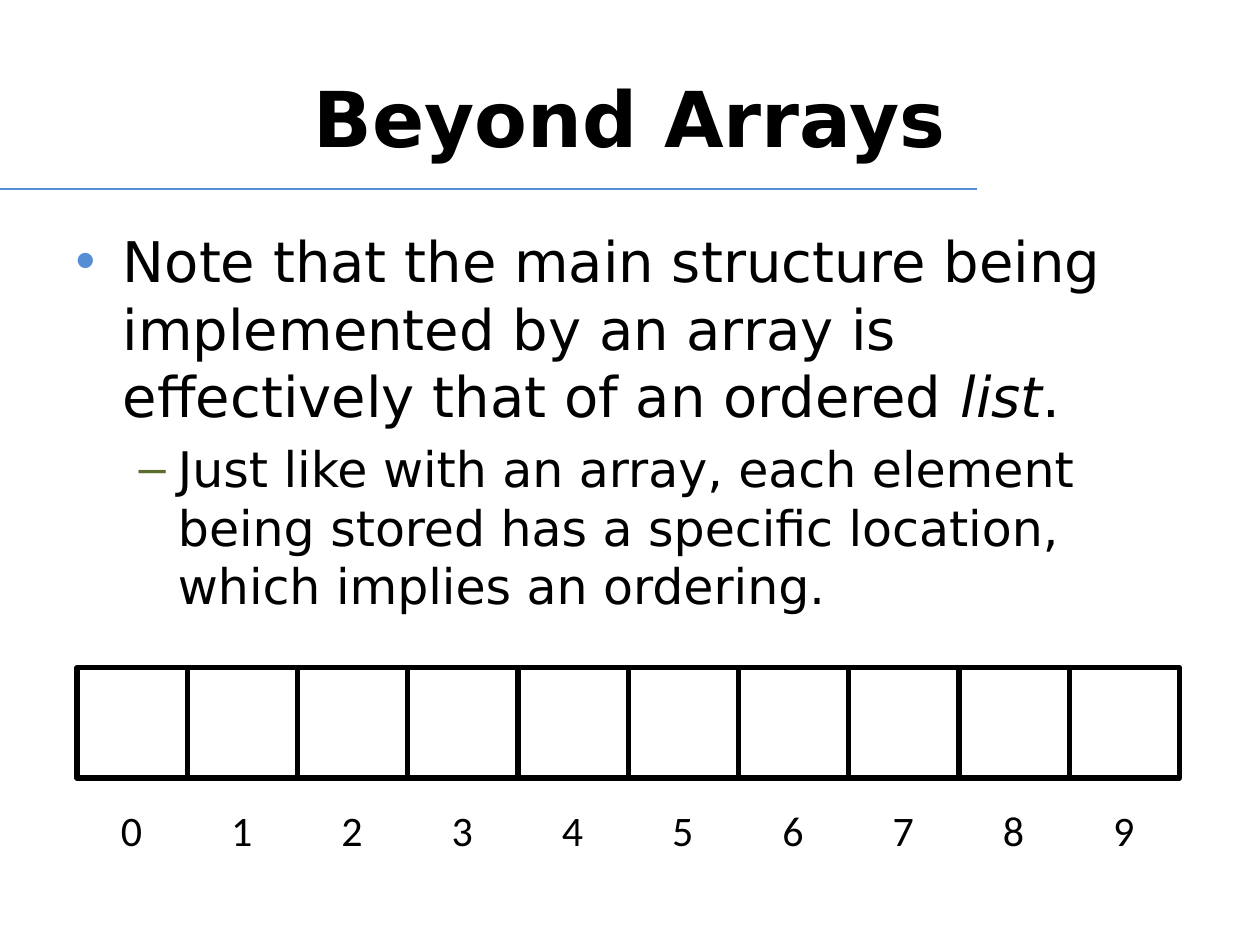
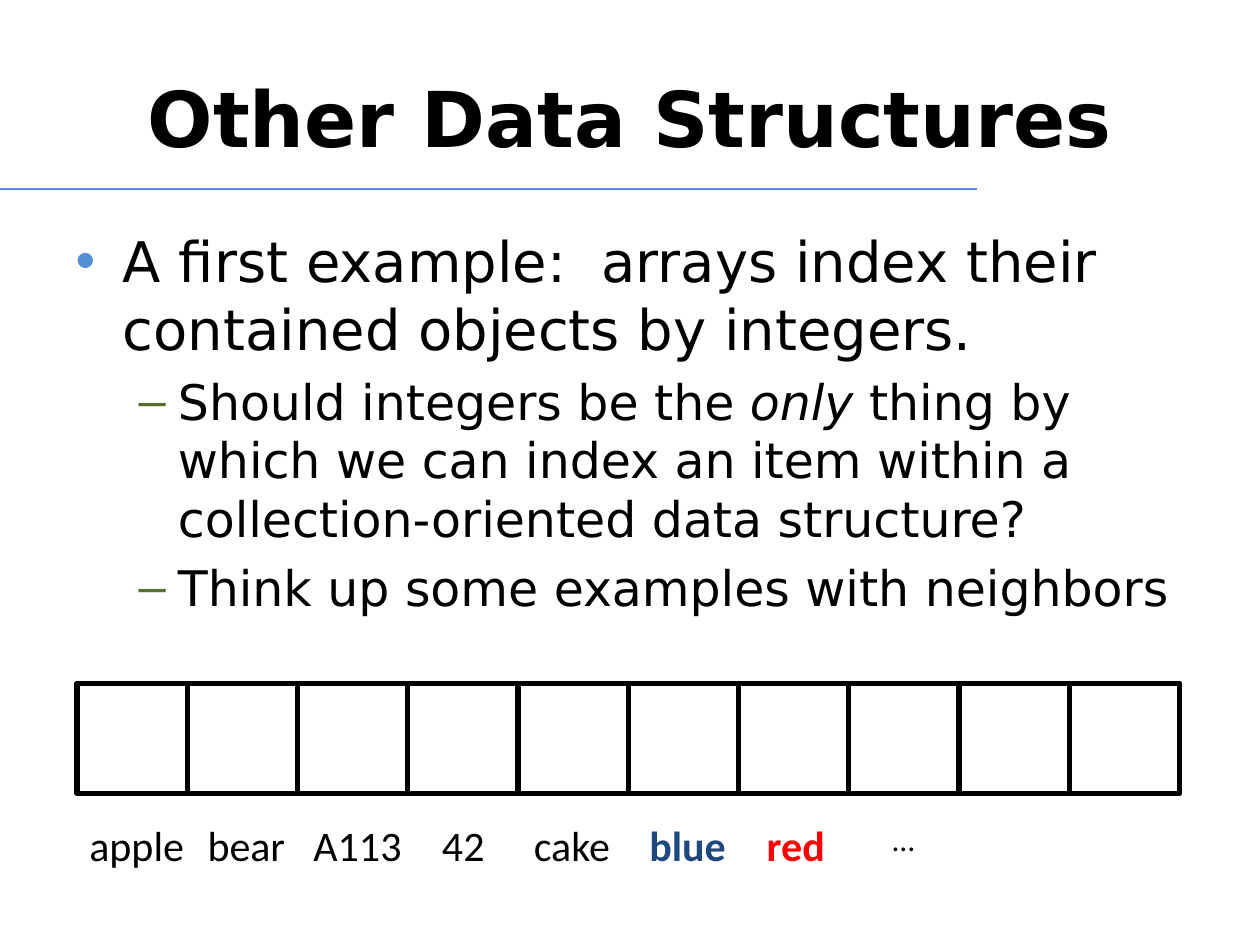
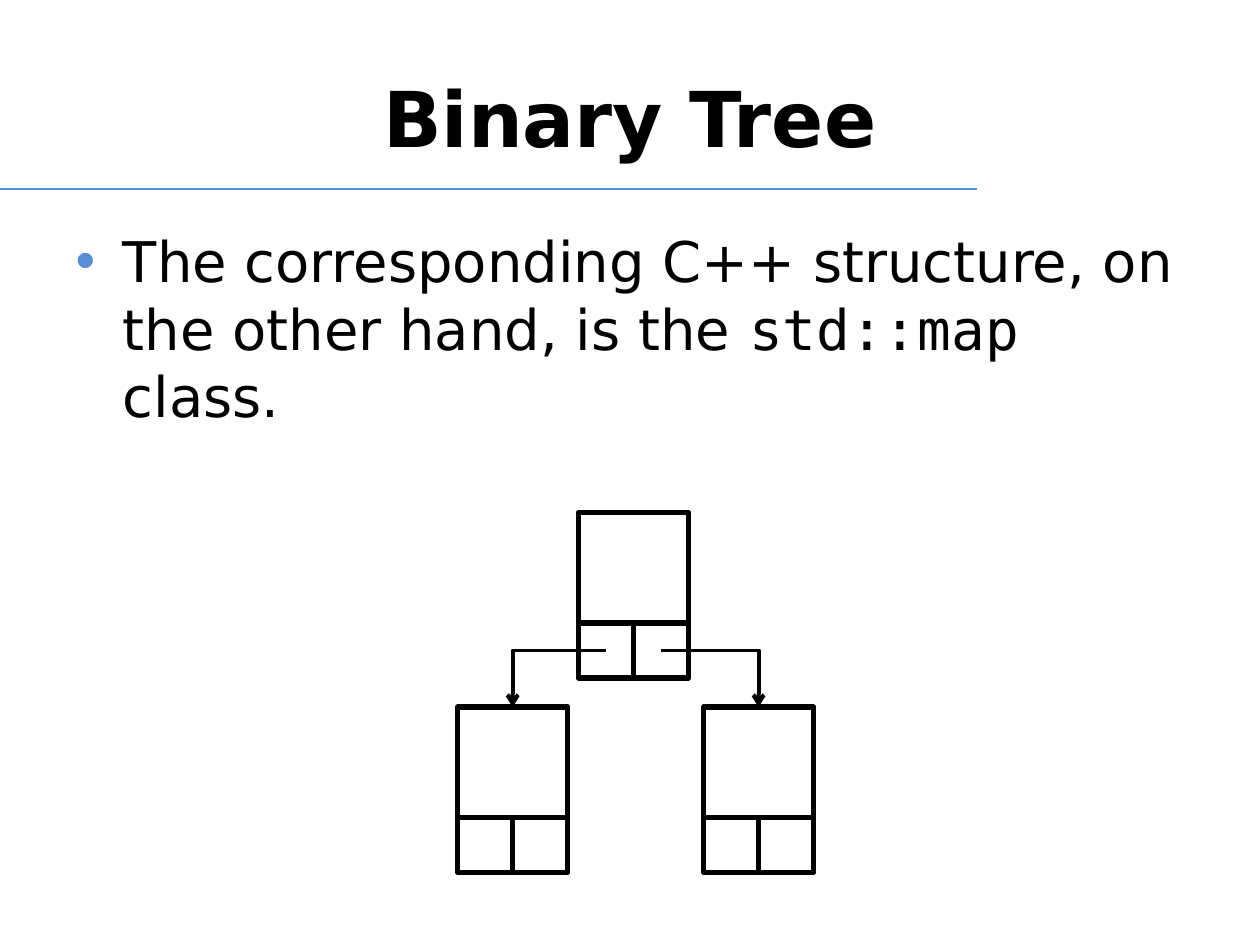
from dataclasses import dataclass

from lxml.etree import SubElement
from pptx import Presentation
from pptx.dml.color import RGBColor
from pptx.enum.shapes import MSO_CONNECTOR, MSO_SHAPE
from pptx.enum.text import MSO_ANCHOR, MSO_AUTO_SIZE, PP_ALIGN
from pptx.oxml.ns import qn
from pptx.util import Pt


@dataclass(frozen=True)
class Theme:
    black: str = "000000"
    white: str = "FFFFFF"
    rule: str = "558ED5"
    navy: str = "1F497D"
    red: str = "FF0000"
    bullets: tuple = ("558ED5", "596E2D")
    body_sizes: tuple = (32, 28)
    title_size: float = 44
    label_size: float = 24
    ellipsis_size: float = 18
    sans: str = "DejaVu Sans"
    mono: str = "DejaVu Sans Mono"
    label_font: str = "Calibri"
    rule_width: float = 0.75
    cell_border: float = 3
    arrow_width: float = 2.25


THEME = Theme()
CELL = 63
PORT = CELL / 2
LABEL_DROP = 74.5


@dataclass(frozen=True)
class Label:
    """Text under a cell; offset is measured from the cell's left edge."""
    text: str
    offset: float = 18
    width: float = 27
    height: float = 36
    size: float = THEME.label_size
    color: str = THEME.black
    bold: bool = False


def write(para, text, size, font=THEME.sans, color=THEME.black, bold=None, italic=None):
    span = para.add_run()
    span.text = text
    span.font.size = Pt(size)
    span.font.name = font
    span.font.color.rgb = RGBColor.from_string(color)
    span.font.bold = bold
    span.font.italic = italic


def place(shape, left, top, width, height):
    shape.left, shape.top = Pt(left), Pt(top)
    shape.width, shape.height = Pt(width), Pt(height)


def add_line(shapes, kind, start, end, color, width):
    line = shapes.add_connector(kind, *map(Pt, start + end))
    line.line.color.rgb = RGBColor.from_string(color)
    line.line.width = Pt(width)
    SubElement(line.element.spPr, qn("a:effectLst"))
    return line


def add_arrow(shapes, start, end):
    """Run sideways from start, then down to an arrowhead at end."""
    arrow = add_line(shapes, MSO_CONNECTOR.ELBOW, start, end, THEME.black, THEME.arrow_width)
    properties = arrow.element.spPr
    properties.find(qn("a:prstGeom")).set("prst", "bentConnector2")
    SubElement(properties.find(qn("a:ln")), qn("a:tailEnd"), type="arrow")


def add_cell(shapes, left, top, side):
    cell = shapes.add_shape(MSO_SHAPE.RECTANGLE, Pt(left), Pt(top), Pt(side), Pt(side))
    cell.shadow.inherit = False
    cell.fill.solid()
    cell.fill.fore_color.rgb = RGBColor.from_string(THEME.white)
    cell.line.color.rgb = RGBColor.from_string(THEME.black)
    cell.line.width = Pt(THEME.cell_border)


def add_label(shapes, label, left, top):
    box = shapes.add_textbox(Pt(left + label.offset), Pt(top), Pt(label.width), Pt(label.height))
    frame = box.text_frame
    frame.word_wrap = False
    frame.auto_size = MSO_AUTO_SIZE.SHAPE_TO_FIT_TEXT
    write(frame.paragraphs[0], label.text, label.size, font=THEME.label_font,
          color=label.color, bold=label.bold)


def add_array(page, left, top, labels, count=10):
    group = page.shapes.add_group_shape().shapes
    for index in range(count):
        add_cell(group, left + index * CELL, top, CELL)
    for index, label in enumerate(labels):
        add_label(group, label, left + index * CELL, top + LABEL_DROP)


def add_node(page, left, top):
    add_cell(page.shapes, left, top, CELL)
    for column in range(2):
        add_cell(page.shapes, left + column * PORT, top + CELL, PORT)


def add_tree(page, left, top):
    """Draw a root and two children, with the left child at the left edge."""
    root_left, child_top = left + 69, top + 111
    child_lefts = (left, left + 140.5)
    add_node(page, root_left, top)
    for child_left in child_lefts:
        add_node(page, child_left, child_top)
    for column, child_left in enumerate(child_lefts):
        start = (root_left + (column + 0.5) * PORT, top + CELL + PORT / 2)
        add_arrow(page.shapes, start, (child_left + CELL / 2, child_top))


def fill_title(holder, text):
    place(holder, 36, 21.6, 648, 90)
    frame = holder.text_frame
    frame.auto_size = MSO_AUTO_SIZE.NONE
    frame.vertical_anchor = MSO_ANCHOR.MIDDLE
    para = frame.paragraphs[0]
    para.alignment = PP_ALIGN.CENTER
    write(para, text, THEME.title_size, bold=True)


def fill_body(holder, items, height):
    """Each item is a level and its spans; a span is a text and its format."""
    place(holder, 36, 126, 648, height)
    frame = holder.text_frame
    frame.auto_size = MSO_AUTO_SIZE.NONE
    for index, (level, spans) in enumerate(items):
        para = frame.add_paragraph() if index else frame.paragraphs[0]
        para.level = level
        if index == 0:
            para.space_before = Pt(0)
        bullet = SubElement(para._p.get_or_add_pPr(), qn("a:buClr"))
        SubElement(bullet, qn("a:srgbClr"), val=THEME.bullets[level])
        for text, style in spans:
            write(para, text, THEME.body_sizes[level], **style)


def add_page(deck, title, items, body_height=356.4):
    page = deck.slides.add_slide(deck.slide_layouts[1])
    fill_title(page.shapes.title, title)
    fill_body(page.placeholders[1], items, body_height)
    return page


def add_layout_rule(page):
    """Put the title rule on the page's layout, in place of its footers."""
    layout = page.slide_layout
    for holder in list(layout.placeholders):
        if holder.placeholder_format.idx >= 10:
            holder.element.getparent().remove(holder.element)
    rule = add_line(page.shapes, MSO_CONNECTOR.STRAIGHT, (0, 108), (558, 108),
                    THEME.rule, THEME.rule_width)
    layout.shapes.element.append(rule.element)


def main():
    deck = Presentation()
    deck.slide_width, deck.slide_height = Pt(720), Pt(540)
    italic = {"italic": True}

    beyond = add_page(deck, "Beyond Arrays", [
        (0, [("Note that the main structure being implemented by an array is "
              "effectively that of an ordered ", {}), ("list", italic), (".", {})]),
        (1, [("Just like with an array, each element being stored has a specific "
              "location, which implies an ordering.", {})]),
    ])
    add_layout_rule(beyond)
    add_array(beyond, 44, 381.6, [Label(str(number)) for number in range(10)])

    others = add_page(deck, "Other Data Structures", [
        (0, [("A first example:  arrays index their contained objects by integers.", {})]),
        (1, [("Should integers be the ", {}), ("only", italic),
             (" thing by which we can index an item within a "
              "collection-oriented data structure?", {})]),
        (1, [("Think up some examples with neighbors", {})]),
    ], body_height=385.2)
    add_array(others, 44, 390.4, [
        Label("apple", 0, 69),
        Label("bear", 4.5, 60),
        Label("A113", 2, 65.5),
        Label("42", 12.5, 39),
        Label("cake", 2, 58.5),
        Label("blue", 5, 59, color=THEME.navy, bold=True),
        Label("red", 9, 48.5, color=THEME.red, bold=True),
        Label("…", 18, 27.5, 29, size=THEME.ellipsis_size),
    ])

    tree = add_page(deck, "Binary Tree", [
        (0, [("The corresponding C++ structure, on the other hand, is the ", {}),
             ("std::map ", {"font": THEME.mono}), ("class.", {})]),
    ])
    add_tree(tree, 261.5, 293)

    deck.save("out.pptx")


if __name__ == "__main__":
    main()
